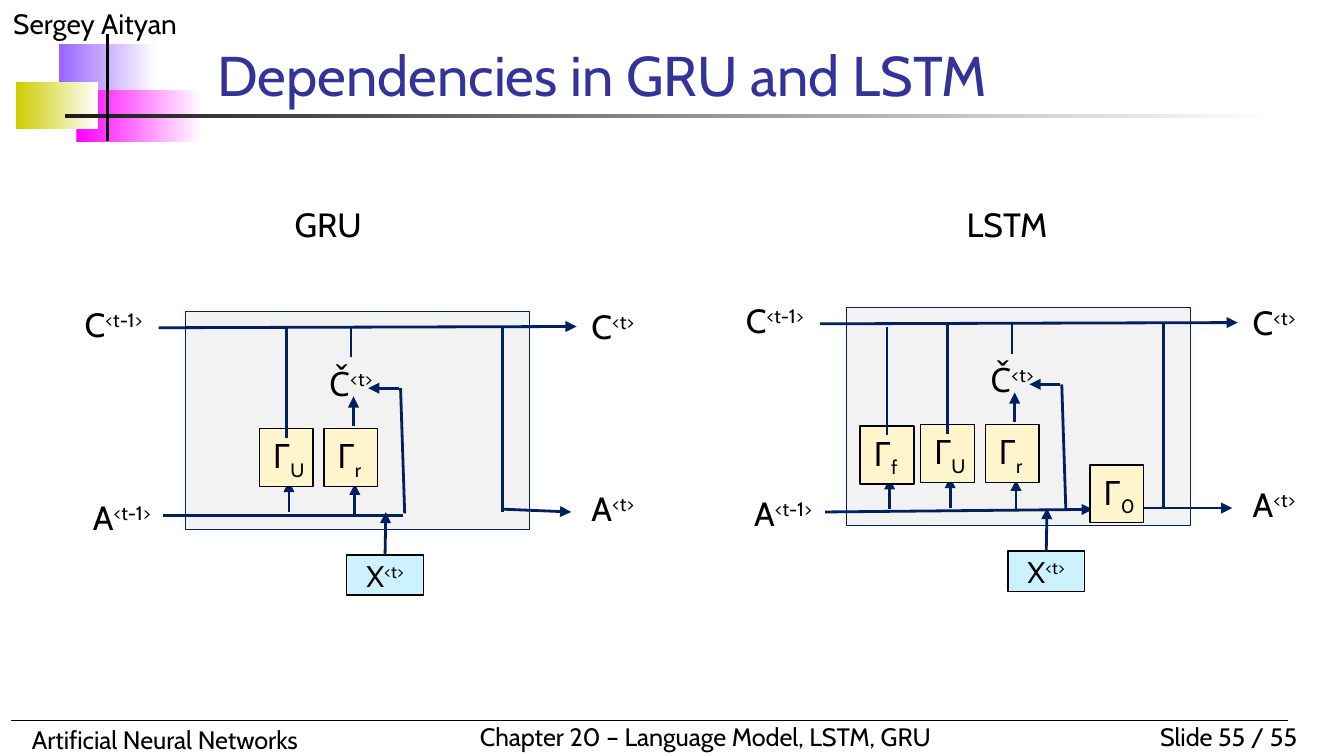
from dataclasses import dataclass
from lxml.etree import SubElement as Sub
from pptx import Presentation
from pptx.dml.color import RGBColor
from pptx.enum.shapes import MSO_CONNECTOR as Link, MSO_SHAPE as Form
from pptx.enum.text import MSO_ANCHOR as Anchor, PP_ALIGN as Align
from pptx.oxml.ns import qn
from pptx.util import Pt

rgb = RGBColor.from_string


@dataclass
class Theme:
    font: str = "Cabin"
    ink: RGBColor = rgb("000000")
    title: RGBColor = rgb("333399")
    wire: RGBColor = rgb("002060")
    cell: RGBColor = rgb("F2F2F2")
    gate: RGBColor = rgb("FFF5CC")
    input: RGBColor = rgb("CDF2FF")
    big: float = 30
    body: float = 18
    mid: float = 16
    name: float = 15
    foot: float = 13.5


look = Theme()


def write(box, words, size, color=look.ink, align=Align.LEFT, mark="", shift=0, pad=None):
    frame = box.text_frame
    frame.word_wrap = True
    if pad is not None:
        frame.margin_left = frame.margin_right = Pt(pad)
        frame.margin_top = frame.margin_bottom = Pt(pad)
    frame.text = words
    para = frame.paragraphs[0]
    para.alignment = align
    if mark:
        para.add_run().text = mark
        para.runs[1]._r.get_or_add_rPr().set("baseline", str(shift * 1000))
    for run in para.runs:
        run.font.name = look.font
        run.font.size = Pt(size)
        run.font.color.rgb = color


def join(start, end, color=look.wire, width=1.5, arrow=False):
    line = shapes.add_connector(Link.STRAIGHT, *map(Pt, start + end))
    line.line.color.rgb = color
    line.line.width = Pt(width)
    if arrow:
        Sub(line.line._get_or_add_ln(), qn("a:tailEnd"), type="triangle")
    Sub(line._element.spPr, qn("a:effectLst"))
    return line


deck = Presentation()
deck.slide_width, deck.slide_height = Pt(720), Pt(405)
slide = deck.slides.add_slide(deck.slide_layouts[5])
shapes = slide.shapes

for area, tint in [
    ((31.7, 23.8, 52.6, 28.1), "9966FF"),
    ((41, 48.2, 67, 28.1), "FF00FF"),
    ((8.6, 43.9, 43.9, 25.2), "CCCC00"),
    ((34.6, 61.2, 648, 2.2), "1C1C1C"),
]:
    bar = shapes.add_shape(Form.RECTANGLE, *map(Pt, area))
    bar.shadow.inherit = False
    bar.line.fill.background()
    bar.fill.gradient()
    bar.fill.gradient_angle = 0
    for stop, shade in zip(bar.fill.gradient_stops, (tint, "FFFFFF")):
        stop.color.rgb = rgb(shade)

for words, area, size, align in [
    ("Sergey Aityan", (0, 0, 180, 25.2), look.name, Align.LEFT),
    ("Slide 55 / 55", (594, 383, 108, 23.8), look.foot, Align.RIGHT),
    ("Artificial Neural Networks", (10, 384.5, 266, 23.8), look.foot, Align.LEFT),
    ("Chapter 20 – Language Model, LSTM, GRU", (250, 383, 272, 23.8), look.foot, Align.LEFT),
]:
    write(shapes.add_textbox(*map(Pt, area)), words, size, align=align)

join((5.8, 386), (689.8, 386), look.ink, 0.75)
join((57.6, 18), (57.6, 75.6), look.ink, 2)

title = shapes.title
title.left, title.top, title.width, title.height = map(Pt, (109.4, 22.3, 529.2, 38.9))
write(title, "Dependencies in GRU and LSTM", look.big, look.title)
title.text_frame.vertical_anchor = Anchor.BOTTOM

labels = [
    ("C", "<t-1>", -63.4, -4.3, 49.7),
    ("C", "<t>", 209.5, -2.9, 38.9),
    ("A", "<t-1>", -59, 99.4, 49.7),
    ("A", "<t>", 209.5, 94.3, 38.9),
    ("Č", "<t>", 69.1, 27.4, 38.9),
]
gates = [("U", 39.6, 62.6), ("r", 74.2, 62.6)]
feeds = [((55.4, 107.3), (55.4, 90.7), True), ((90.7, 108.7), (90.7, 92.2), True)]
wires = [
    ((-14.4, 8.6), (209.5, 7.9), True),
    ((169.9, 8.6), (169.9, 107.3), False),
    ((90, 61.2), (90, 45.4), True),
    ((88.6, 24.5), (88.6, 8.6), False),
    ((115.2, 41), (117.4, 108), False),
    ((114.5, 41), (97.9, 41), True),
    ((54, 67.7), (54, 9.4), False),
]
cells = [
    ("GRU", 99.4, 167, 175.8, [], [
        ((-12.2, 109.4), (116.6, 109.4), False),
        ((169.9, 105.8), (206.6, 107.3), True),
    ], []),
    ("LSTM", 453.6, 164.9, 539.5, [("f", 7.2, 63.4), ("0", 130.3, 84.2)], [
        ((23, 108), (23, 91.4), True),
        ((-11.5, 109.4), (131.8, 108), True),
        ((159.1, 107.3), (206.6, 107.3), True),
    ], [((21.6, 68.4), (21.6, 10.1), False)]),
]

for name, left, top, mid, more, under, over in cells:
    head = shapes.add_textbox(Pt(mid - 50), Pt(105.8), Pt(100), Pt(28.8))
    write(head, name, look.body, align=Align.CENTER)

    cell = shapes.add_shape(Form.RECTANGLE, Pt(left), Pt(top), Pt(184.3), Pt(116.6))
    cell.shadow.inherit = False
    cell.fill.solid()
    cell.fill.fore_color.rgb = look.cell
    cell.line.color.rgb = look.wire
    cell.line.width = Pt(0.75)

    for (ax, ay), (bx, by), arrow in feeds + under:
        join((left + ax, top + ay), (left + bx, top + by), arrow=arrow)

    blocks = [("Γ", sub, x, y, 28.8, 31, look.gate) for sub, x, y in gates + more]
    blocks.append(("X", "<t>", 86.4, 130.3, 41, 21.6, look.input))
    for words, mark, x, y, wide, high, tint in blocks:
        block = shapes.add_shape(
            Form.RECTANGLE, Pt(left + x), Pt(top + y), Pt(wide), Pt(high))
        block.shadow.inherit = False
        block.fill.solid()
        block.fill.fore_color.rgb = tint
        block.line.color.rgb = look.ink
        block.line.width = Pt(0.75)
        if words == "X":
            write(block, words, look.mid, align=Align.CENTER, mark=mark, shift=30, pad=0)
        else:
            write(block, words, look.body, mark=mark, shift=-25)
            block.text_frame.vertical_anchor = Anchor.TOP
        block.text_frame.word_wrap = False

    rise = join((left + 106.9, top + 130.3), (left + 107.3, top + 107.3), arrow=True)
    rise.begin_connect(block, 0)

    for (ax, ay), (bx, by), arrow in wires + over:
        join((left + ax, top + ay), (left + bx, top + by), arrow=arrow)

    for words, mark, x, y, wide in labels:
        label = shapes.add_textbox(Pt(left + x), Pt(top + y), Pt(wide), Pt(21.6))
        write(label, words, look.body, align=Align.CENTER, mark=mark, shift=30, pad=0)

deck.save("out.pptx")
